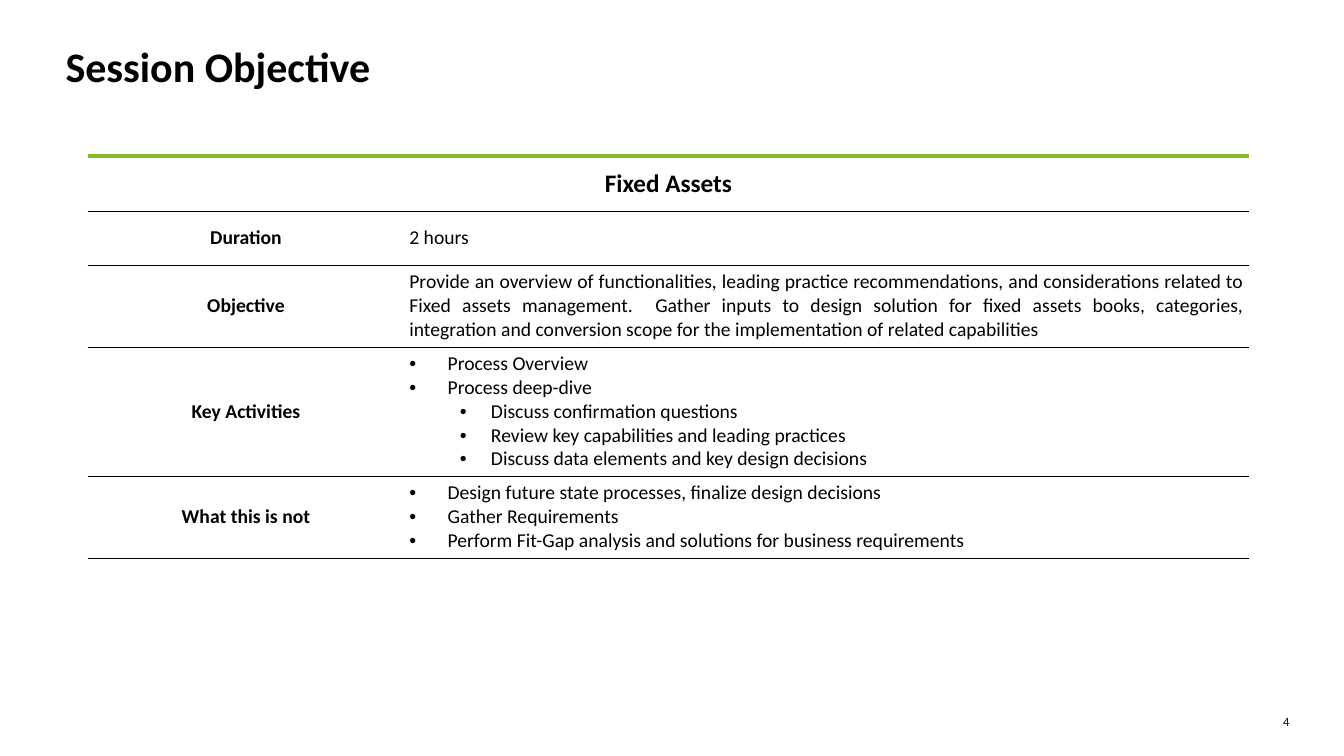
from lxml.etree import SubElement
from pptx import Presentation
from pptx.dml.color import RGBColor
from pptx.enum.text import MSO_ANCHOR, PP_ALIGN
from pptx.oxml.ns import qn
from pptx.util import Inches, Pt

BLACK = RGBColor(0x00, 0x00, 0x00)
GREEN = RGBColor(0x86, 0xBC, 0x25)
FONT = "Calibri"
BULLET_INDENTS = [(0.38, -0.38), (0.81, -0.31)]
ROW_HEIGHTS = [0.54, 0.54, 0.8, 1.28, 0.8]
COLUMN_WIDTHS = [3.14, 8.38]

OBJECTIVE = (
    "Provide an overview of functionalities, leading practice recommendations, "
    "and considerations related to Fixed assets management.  Gather inputs to "
    "design solution for fixed assets books, categories, integration and "
    "conversion scope for the implementation of related capabilities"
)
KEY_ACTIVITIES = [
    (0, "Process Overview"),
    (0, "Process deep-dive"),
    (1, "Discuss confirmation questions"),
    (1, "Review key capabilities and leading practices"),
    (1, "Discuss data elements and key design decisions"),
]
EXCLUSIONS = [
    (0, "Design future state processes, finalize design decisions"),
    (0, "Gather Requirements"),
    (0, "Perform Fit-Gap analysis and solutions for business requirements"),
]


def write(paragraph, text, size, bold=False, align=PP_ALIGN.LEFT):
    """Fill a paragraph and format its runs."""
    paragraph.text = text
    paragraph.alignment = align
    for run in paragraph.runs:
        run.font.name = FONT
        run.font.size = Pt(size)
        run.font.bold = bold
        run.font.color.rgb = BLACK


def add_bullet(paragraph, level):
    """Give a paragraph a hanging round bullet."""
    left, hanging = BULLET_INDENTS[level]
    paragraph.level = level
    properties = paragraph._p.get_or_add_pPr()
    properties.set("marL", str(Inches(left)))
    properties.set("indent", str(Inches(hanging)))
    colour = SubElement(properties, qn("a:buClr"))
    SubElement(colour, qn("a:srgbClr"), val=str(BLACK))
    SubElement(properties, qn("a:buFont"), typeface="Arial")
    SubElement(properties, qn("a:buChar"), char="•")


def write_bullets(cell, items):
    """Write a list of (level, text) items into a cell."""
    frame = cell.text_frame
    for index, (level, text) in enumerate(items):
        paragraph = frame.add_paragraph() if index else frame.paragraphs[0]
        add_bullet(paragraph, level)
        write(paragraph, text, 14)


def set_border(cell, side, colour=None, width=0.25):
    """Draw one side of a cell, or clear it when no colour is given."""
    line = SubElement(cell._tc.get_or_add_tcPr(), qn(f"a:ln{side}"), w=str(Pt(width)))
    if colour is None:
        SubElement(line, qn("a:noFill"))
    else:
        fill = SubElement(line, qn("a:solidFill"))
        SubElement(fill, qn("a:srgbClr"), val=str(colour))


def format_cell(cell, is_heading):
    """Set the margins, rules and empty fill of a cell."""
    cell.margin_left = cell.margin_right = Inches(0.05)
    cell.margin_top = cell.margin_bottom = Inches(0.05)
    cell.vertical_anchor = MSO_ANCHOR.MIDDLE
    set_border(cell, "L")
    set_border(cell, "R")
    if is_heading:
        set_border(cell, "T", GREEN, 3)
    else:
        set_border(cell, "T", BLACK)
    set_border(cell, "B", BLACK)
    cell.fill.background()


def add_title(slide, text):
    """Place and format the slide title."""
    title = slide.shapes.title
    title.left, title.top = Inches(0.55), Inches(0.35)
    title.width, title.height = Inches(12.24), Inches(0.37)
    title.text_frame.vertical_anchor = MSO_ANCHOR.TOP
    write(title.text_frame.paragraphs[0], text, 30, bold=True)


def add_session_table(slide):
    """Add the table that describes the session."""
    table = slide.shapes.add_table(
        len(ROW_HEIGHTS), len(COLUMN_WIDTHS), Inches(0.87), Inches(1.55),
        Inches(sum(COLUMN_WIDTHS)), Inches(sum(ROW_HEIGHTS))).table
    table.first_row = table.horz_banding = False
    for column, width in zip(table.columns, COLUMN_WIDTHS):
        column.width = Inches(width)
    for index, (row, height) in enumerate(zip(table.rows, ROW_HEIGHTS)):
        row.height = Inches(height)
        for cell in row.cells:
            format_cell(cell, index == 0)

    heading = table.cell(0, 0)
    heading.merge(table.cell(0, 1))
    write(heading.text_frame.paragraphs[0], "Fixed Assets", 18, True, PP_ALIGN.CENTER)
    labels = ["Duration", "Objective", "Key Activities", "What this is not"]
    for row, label in enumerate(labels, start=1):
        write(table.cell(row, 0).text_frame.paragraphs[0], label, 14, True, PP_ALIGN.CENTER)
    write(table.cell(1, 1).text_frame.paragraphs[0], "2 hours", 14)
    write(table.cell(2, 1).text_frame.paragraphs[0], OBJECTIVE, 14, align=PP_ALIGN.JUSTIFY)
    write_bullets(table.cell(3, 1), KEY_ACTIVITIES)
    write_bullets(table.cell(4, 1), EXCLUSIONS)


def add_page_number(slide, number):
    """Add the page number at the bottom right."""
    frame = slide.shapes.add_textbox(
        Inches(12.45), Inches(7.08), Inches(0.34), Inches(0.15)).text_frame
    frame.word_wrap = True
    frame.margin_left = frame.margin_right = 0
    frame.margin_top = frame.margin_bottom = 0
    write(frame.paragraphs[0], number, 9, align=PP_ALIGN.RIGHT)


def main():
    """Build the session objective slide."""
    presentation = Presentation()
    presentation.slide_width = Inches(13.33)
    presentation.slide_height = Inches(7.5)
    slide = presentation.slides.add_slide(presentation.slide_layouts[5])
    add_title(slide, "Session Objective")
    add_session_table(slide)
    add_page_number(slide, "4")
    presentation.save("out.pptx")


if __name__ == "__main__":
    main()
